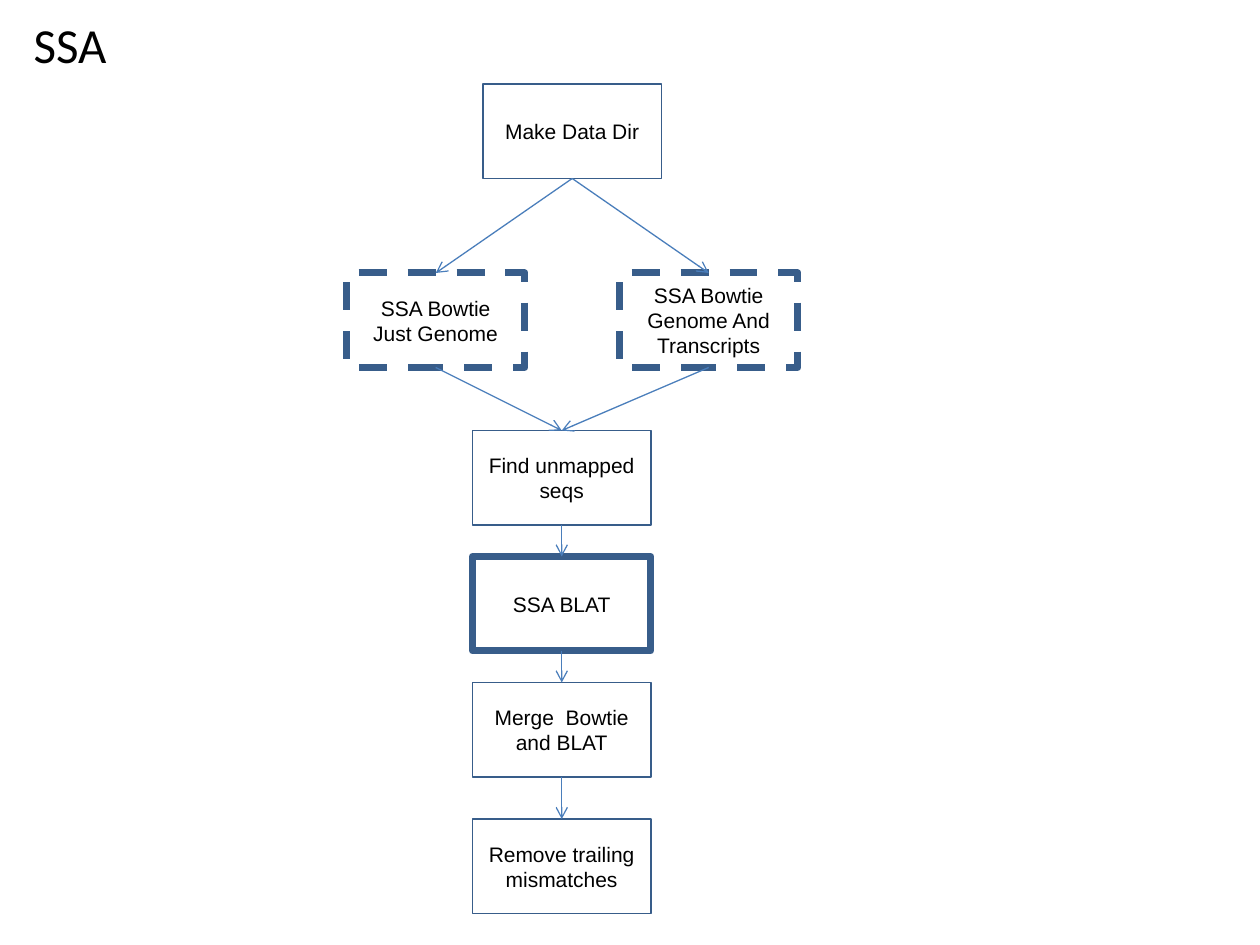
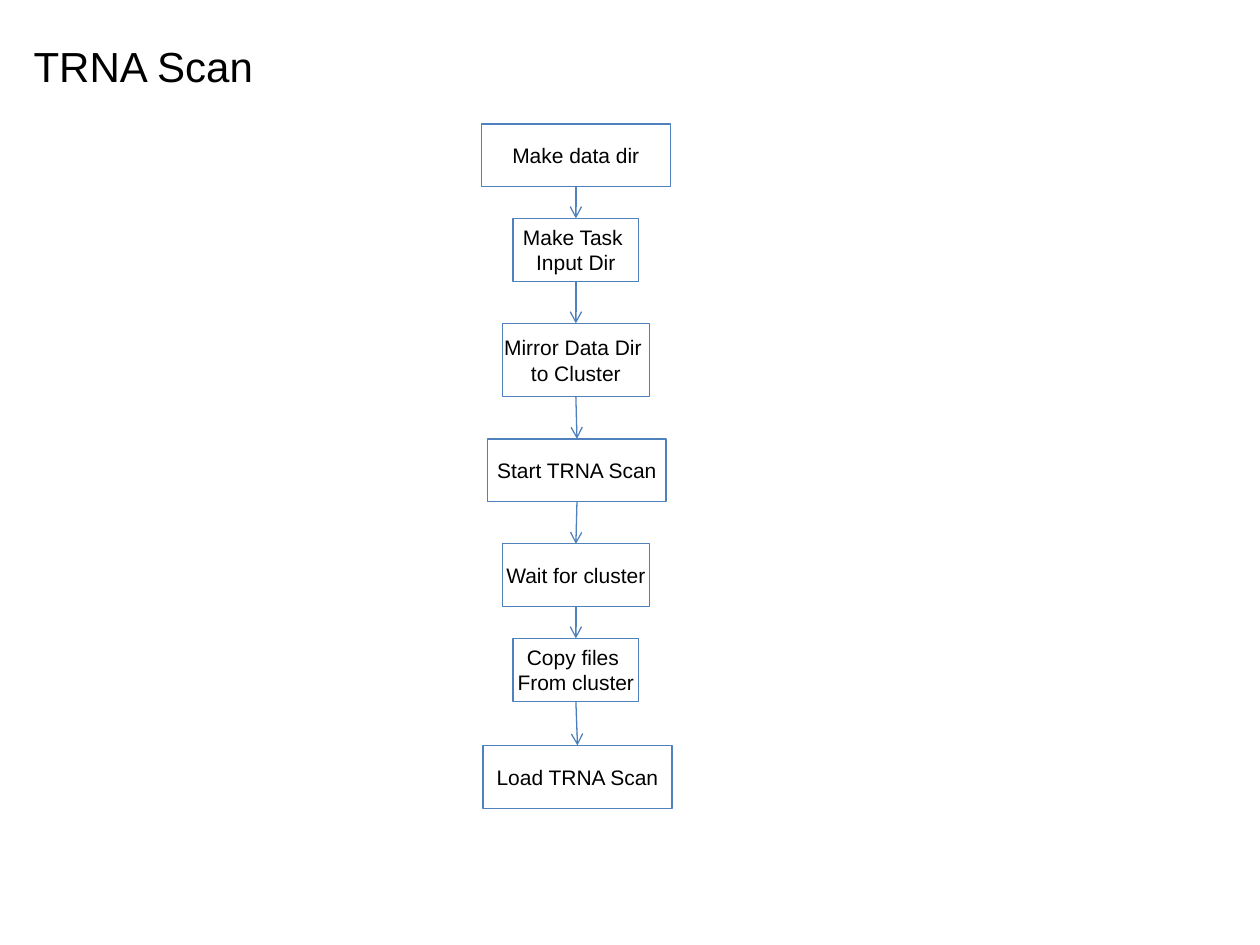
import pptx
import pptx.util
import pptx.dml.color
import pptx.enum.dml
import pptx.enum.shapes
import pptx.enum.text
import pptx.oxml
from dataclasses import dataclass
from lxml import etree


@dataclass(frozen=True)
class Theme:
    ink: str = "000000"
    step_line: str = "385D8A"
    scan_line: str = "4F81BD"
    flow_line: str = "4A7EBB"
    body_font: str = "Arial"
    body_size: int = 12
    thin: float = 0.75
    normal: float = 1
    heavy: float = 4


theme = Theme()
rgb = pptx.dml.color.RGBColor.from_string
align = pptx.enum.text.PP_ALIGN
dash = pptx.enum.dml.MSO_LINE.DASH

deck = pptx.Presentation()
deck.slide_width = pptx.util.Inches(10)
deck.slide_height = pptx.util.Inches(7.5)

# The slide is a grid of 120 columns by 90 rows
COLUMN = deck.slide_width / 120
ROW = deck.slide_height / 90


def add_step(slide, label, column, row, columns, rows, color, width, wrap=True):
    """Outlined box with centred black text, placed on the grid."""
    step = slide.shapes.add_shape(
        pptx.enum.shapes.MSO_SHAPE.RECTANGLE,
        round(column * COLUMN), round(row * ROW),
        round(columns * COLUMN), round(rows * ROW))
    step.shadow.inherit = False
    step.fill.background()
    step.line.color.rgb = rgb(color)
    step.line.width = pptx.util.Pt(width)
    frame = step.text_frame
    frame.word_wrap = wrap
    frame.vertical_anchor = pptx.enum.text.MSO_ANCHOR.MIDDLE
    frame.text = label
    for paragraph in frame.paragraphs:
        paragraph.alignment = align.CENTER
        paragraph.font.name = theme.body_font
        paragraph.font.size = pptx.util.Pt(theme.body_size)
        paragraph.font.color.rgb = rgb(theme.ink)
    return step


def add_flow(slide, source, target, color):
    """Arrow from the bottom of one step to the top of the next."""
    flow = slide.shapes.add_connector(
        pptx.enum.shapes.MSO_CONNECTOR.STRAIGHT, 0, 0, 0, 0)
    flow.begin_connect(source, 2)
    flow.end_connect(target, 0)
    flow.line.color.rgb = rgb(color)
    flow.line.width = pptx.util.Pt(theme.thin)
    etree.SubElement(flow.line._get_or_add_ln(), pptx.oxml.ns.qn("a:tailEnd"), type="arrow")
    etree.SubElement(flow._element.spPr, pptx.oxml.ns.qn("a:effectLst"))


# Slides and titles: text, top row, columns, rows, font, size
titles = [
    ("SSA", 1, 67, 6.3, "Calibri", 28),
    ("TRNA Scan", 3.6, 27, 5.4, "Arial", 24),
]
slides = []
for text, row, columns, rows, font, size in titles:
    slide = deck.slides.add_slide(deck.slide_layouts[5])
    title = slide.shapes.title
    title.left, title.top = round(2 * COLUMN), round(row * ROW)
    title.width, title.height = round(columns * COLUMN), round(rows * ROW)
    title.text_frame.text = text
    title.text_frame.auto_size = pptx.enum.text.MSO_AUTO_SIZE.NONE
    title.text_frame.vertical_anchor = pptx.enum.text.MSO_ANCHOR.MIDDLE
    heading = title.text_frame.paragraphs[0]
    heading.alignment = align.LEFT
    heading.font.name = font
    heading.font.size = pptx.util.Pt(size)
    heading.font.color.rgb = rgb(theme.ink)
    slides.append(slide)
ssa, trna = slides

# SSA steps: label, column, row, line width, dashed
ssa_steps = {
    "data": ("Make Data Dir", 46, 8, theme.normal, False),
    "genome": ("SSA Bowtie Just Genome", 33, 26, theme.heavy, True),
    "transcripts": ("SSA Bowtie\nGenome And Transcripts", 59, 26, theme.heavy, True),
    "unmapped": ("Find unmapped seqs", 45, 41, theme.normal, False),
    "blat": ("SSA BLAT", 45, 53, theme.heavy, False),
    "merge": ("Merge  Bowtie and BLAT", 45, 65, theme.normal, False),
    "trim": ("Remove trailing mismatches", 45, 78, theme.normal, False),
}
ssa_boxes = {}
for key, (label, column, row, width, dashed) in ssa_steps.items():
    ssa_boxes[key] = add_step(ssa, label, column, row, 17, 9, theme.step_line, width)
    if dashed:
        ssa_boxes[key].line.dash_style = dash

# SSA flow: a fork and a join, then a single chain
ssa_flows = [
    ("data", "genome"), ("data", "transcripts"),
    ("genome", "unmapped"), ("transcripts", "unmapped"),
    ("unmapped", "blat"), ("blat", "merge"), ("merge", "trim"),
]
for source, target in ssa_flows:
    add_flow(ssa, ssa_boxes[source], ssa_boxes[target], theme.flow_line)

# TRNA Scan chain: label, centre column, columns, rows, gap below
scan_steps = [
    ("Make data dir", 54.85, 18, 6, 3),
    ("Make Task \nInput Dir", 54.85, 12, 6, 4),
    ("Mirror Data Dir \nto Cluster", 54.85, 14, 7, 4),
    ("Start TRNA Scan", 54.95, 17, 6, 4),
    ("Wait for cluster", 54.85, 14, 6, 3),
    ("Copy files \nFrom cluster", 54.85, 12, 6, 4.2),
    ("Load TRNA Scan", 55, 18, 6, 0),
]
row = 11.8
scan_boxes = []
for label, centre, columns, rows, gap in scan_steps:
    scan_boxes.append(add_step(trna, label, centre - columns / 2, row, columns, rows,
                               theme.scan_line, theme.thin, wrap=False))
    row += rows + gap

for source, target in zip(scan_boxes, scan_boxes[1:]):
    last = target is scan_boxes[-1]
    add_flow(trna, source, target, theme.flow_line if last else theme.scan_line)

deck.save("out.pptx")
